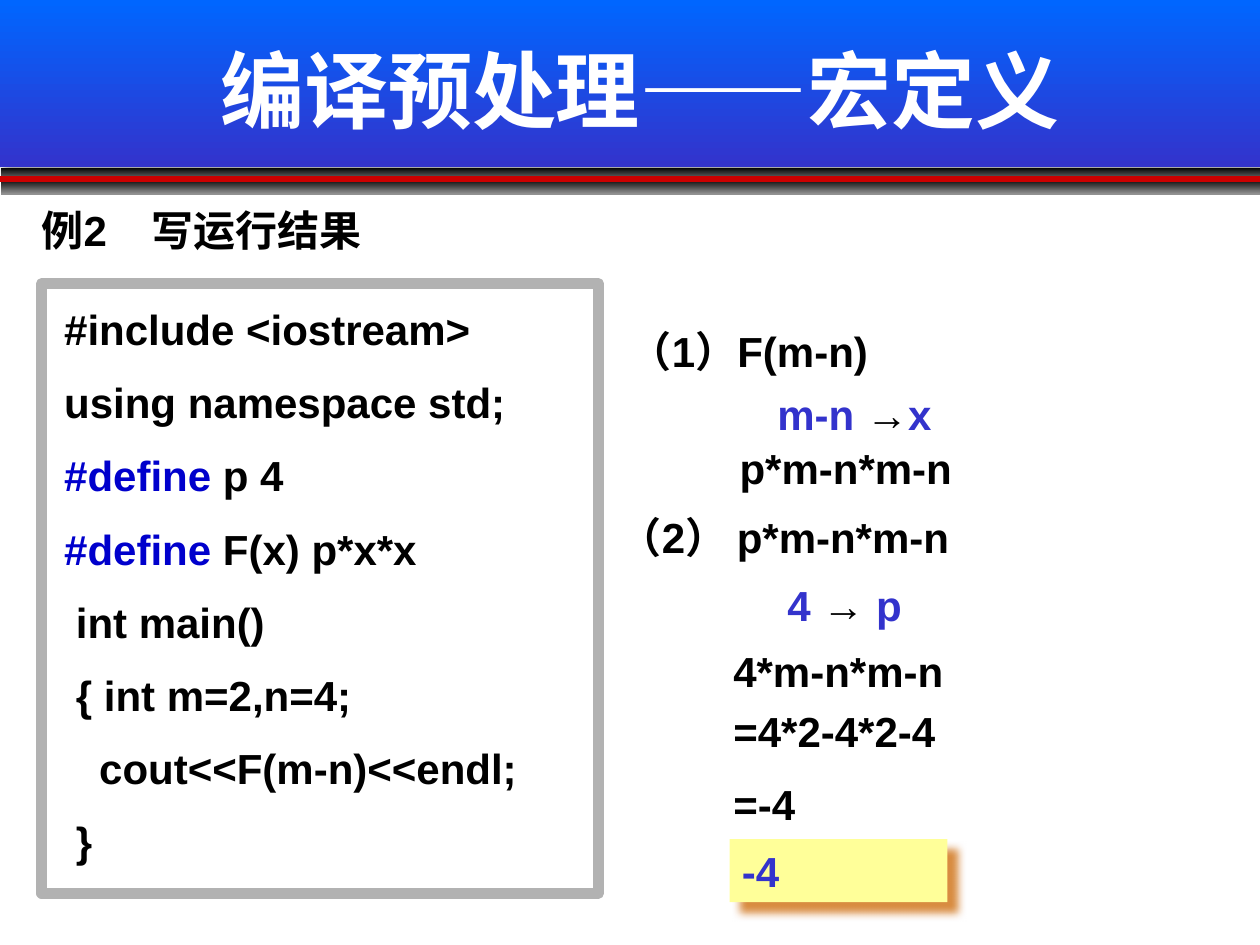
from typing import NamedTuple

from lxml.etree import SubElement
from pptx import Presentation
from pptx.dml.color import RGBColor
from pptx.enum.shapes import MSO_CONNECTOR, MSO_SHAPE
from pptx.enum.text import MSO_ANCHOR as Anchor, MSO_AUTO_SIZE as AutoSize, PP_ALIGN as Align
from pptx.oxml.ns import qn
from pptx.util import Inches, Pt

COLORS = {
    "black": "000000", "white": "FFFFFF", "sky": "0066FF", "indigo": "3333CC",
    "keyword": "0000CC", "red": "CC0000", "gray": "929292", "frame": "B2B2B2",
    "yellow": "FFFF99", "orange": "CC6600", "shade": "808080",
}


class Box(NamedTuple):
    left: float
    top: float
    width: float
    height: float


class Part(NamedTuple):
    text: str
    color: str = "black"


class Note(NamedTuple):
    box: Box
    lines: list[list[Part]]


def rgb(name: str) -> RGBColor:
    return RGBColor.from_string(COLORS[name])


def write(frame, lines: list[list[Part]], *, size: float = 24, align=Align.LEFT,
          anchor=Anchor.TOP, inset: tuple[float, float] = (0, 0), gap: float = 13,
          tab: float | None = None, auto_size=AutoSize.SHAPE_TO_FIT_TEXT) -> None:
    """Fill a text frame; inset is (sides, top and bottom) in inches, gap in points."""
    frame.word_wrap = True
    frame.auto_size = auto_size
    frame.vertical_anchor = anchor
    frame.margin_left = frame.margin_right = Inches(inset[0])
    frame.margin_top = frame.margin_bottom = Inches(inset[1])
    for index, parts in enumerate(lines):
        paragraph = frame.add_paragraph() if index else frame.paragraphs[0]
        if tab is not None:
            stops = SubElement(paragraph._p.get_or_add_pPr(), qn("a:tabLst"))
            SubElement(stops, qn("a:tab"), pos=str(Inches(tab)), algn="l")
        paragraph.alignment = align
        if index:
            paragraph.space_before = Pt(gap)
        for part in parts:
            run = paragraph.add_run()
            run.text = part.text
            run.font.name = "Arial"
            run.font.size = Pt(size)
            run.font.bold = True
            run.font.color.rgb = rgb(part.color)


def add_text(slide, box: Box, lines: list[list[Part]], **style) -> None:
    write(slide.shapes.add_textbox(*map(Inches, box)).text_frame, lines, **style)


def add_rectangle(slide, box: Box):
    rectangle = slide.shapes.add_shape(MSO_SHAPE.RECTANGLE, *map(Inches, box))
    rectangle.shadow.inherit = False
    rectangle.fill.background()
    rectangle.line.fill.background()
    return rectangle


def add_gradient_band(slide, box: Box, top: str, bottom: str):
    band = add_rectangle(slide, box)
    band.fill.gradient()
    band.fill.gradient_angle = 270
    for stop, color in zip(band.fill.gradient_stops, (top, bottom)):
        stop.color.rgb = rgb(color)
    return band


def cast_shadow(shape, color: str, distance: float) -> None:
    """Give the shape a soft shadow to the lower right, distance in points."""
    effects = shape._element.spPr.find(qn("a:effectLst"))
    shadow = SubElement(effects, qn("a:outerShdw"), blurRad=str(Pt(5)),
                        dist=str(Pt(distance)), dir="2700000", algn="tl", rotWithShape="0")
    tint = SubElement(shadow, qn("a:srgbClr"), val=COLORS[color])
    SubElement(tint, qn("a:alpha"), val="75000")


def add_header(slide) -> None:
    banner = add_gradient_band(slide, Box(0, 0, 10, 1.33), "sky", "indigo")
    cast_shadow(banner, "shade", 3)
    for top in (1.33, 1.42):
        add_gradient_band(slide, Box(0.01, top, 9.99, 0.12), "black", "gray")
    rule = slide.shapes.add_connector(
        MSO_CONNECTOR.STRAIGHT, Inches(0), Inches(1.42), Inches(10), Inches(1.42))
    rule.line.color.rgb = rgb("red")
    rule.line.width = Pt(3)
    SubElement(rule._element.spPr, qn("a:effectLst"))
    add_text(slide, Box(0.83, 0.08, 8.5, 1.25), [[Part("编译预处理——宏定义", "white")]],
             size=48, align=Align.CENTER, anchor=Anchor.MIDDLE, inset=(0.1, 0.05),
             auto_size=AutoSize.NONE)


CODE = [
    [Part("#include <iostream>")],
    [Part("using namespace std;")],
    [Part("#define ", "keyword"), Part("p 4")],
    [Part("#define ", "keyword"), Part("F(x) p*x*x")],
    [Part(" int main()")],
    [Part(" { int m=2,n=4;")],
    [Part("   cout<<F(m-n)<<endl;")],
    [Part(" }")],
]

EXPANSION = [
    Note(Box(5, 2.58, 3.67, 0.4), [[Part("（1）F(m-n)")]]),
    Note(Box(6.17, 3.08, 2.25, 0.4),
         [[Part("m-n ", "indigo"), Part("→"), Part("x", "indigo")]]),
    Note(Box(5.87, 3.51, 3.23, 0.4), [[Part("p*m-n*m-n")]]),
    Note(Box(4.92, 4.06, 3.67, 0.4), [[Part("（2） p*m-n*m-n")]]),
    Note(Box(6.25, 4.6, 1.33, 0.4),
         [[Part("4 ", "indigo"), Part("→ "), Part("p", "indigo")]]),
    Note(Box(5.82, 5.12, 3.67, 0.4), [[Part("4*m-n*m-n")]]),
    Note(Box(5.82, 5.6, 3.12, 1), [[Part("=4*2-4*2-4")], [Part("=-4")]]),
]


def main() -> None:
    presentation = Presentation()
    presentation.slide_width = Inches(10)
    presentation.slide_height = Inches(7.5)
    slide = presentation.slides.add_slide(presentation.slide_layouts[6])

    add_header(slide)
    add_text(slide, Box(0.33, 1.62, 9.25, 0.4), [[Part("例2\t写运行结果")]], tab=0.87)

    code_frame = add_rectangle(slide, Box(0.33, 2.25, 4.42, 4.84))
    code_frame.line.color.rgb = rgb("frame")
    code_frame.line.width = Pt(6)
    add_text(slide, Box(0.51, 2.41, 3.92, 4.64), CODE)

    for note in EXPANSION:
        add_text(slide, note.box, note.lines)

    answer = add_rectangle(slide, Box(5.79, 6.66, 1.73, 0.5))
    answer.fill.solid()
    answer.fill.fore_color.rgb = rgb("yellow")
    cast_shadow(answer, "orange", 8.5)
    write(answer.text_frame, [[Part("-4", "indigo")]], inset=(0.1, 0.05))

    presentation.save("out.pptx")


if __name__ == "__main__":
    main()
